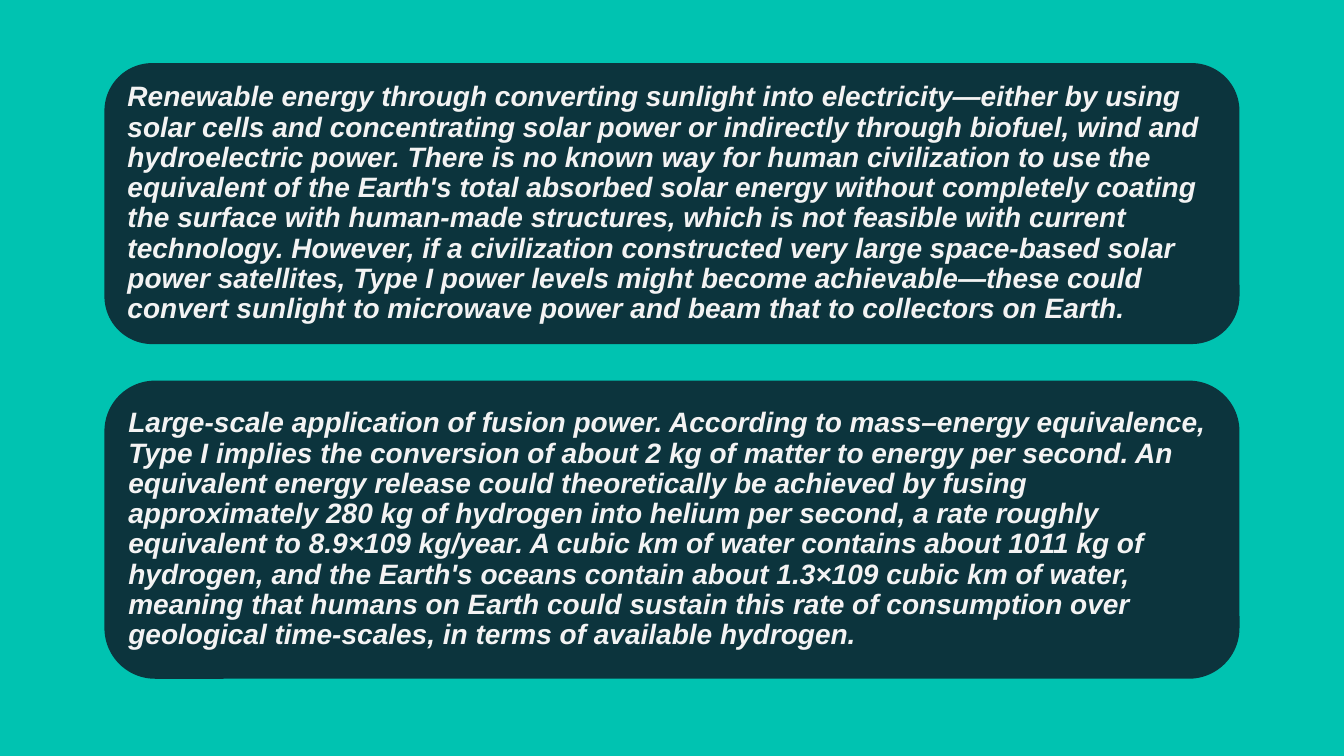
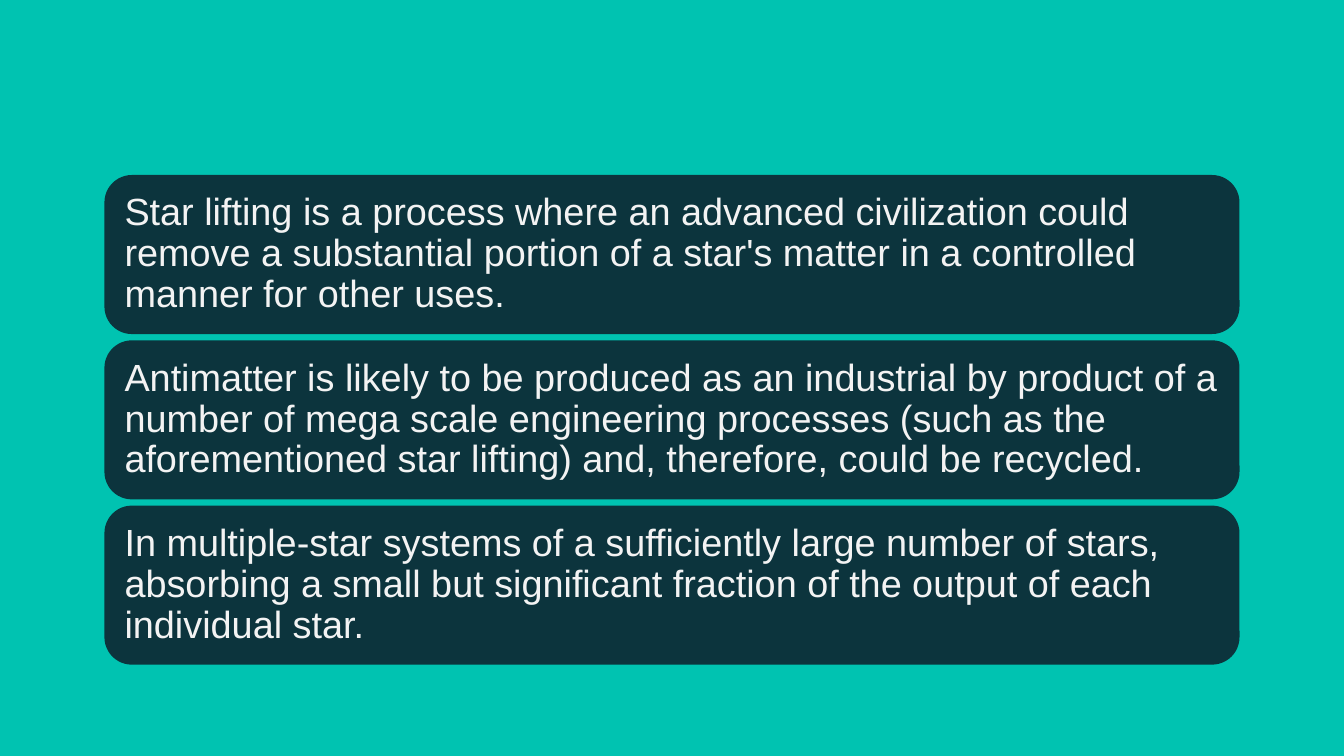
from pptx import Presentation
from pptx.dml.color import RGBColor
from pptx.enum.shapes import MSO_SHAPE
from pptx.enum.text import MSO_ANCHOR, PP_ALIGN
from pptx.util import Inches, Pt

# Shared style
TEAL = RGBColor(0x00, 0xC3, 0xB1)
NAVY = RGBColor(0x0C, 0x34, 0x3D)
OFF_WHITE = RGBColor(0xF3, 0xF3, 0xF3)
FONT = "Arial"
CARD_LEFT, CARD_WIDTH = 1.05, 11.23

# Content: each slide is a stack of cards, given as (height, text)
SLIDES = [
    {
        "top": 0.64, "gap": 0.39,
        "format": {"size": 20, "margin": 0.08, "bold": True, "italic": True},
        "cards": [
            (2.76, "Renewable energy through converting sunlight into electricity—either by using "
                   "solar cells and concentrating solar power or indirectly through biofuel, wind and "
                   "hydroelectric power. There is no known way for human civilization to use the "
                   "equivalent of the Earth's total absorbed solar energy without completely coating "
                   "the surface with human-made structures, which is not feasible with current "
                   "technology. However, if a civilization constructed very large space-based solar "
                   "power satellites, Type I power levels might become achievable—these could "
                   "convert sunlight to microwave power and beam that to collectors on Earth."),
            (2.93, "Large-scale application of fusion power. According to mass–energy equivalence, "
                   "Type I implies the conversion of about 2 kg of matter to energy per second. An "
                   "equivalent energy release could theoretically be achieved by fusing "
                   "approximately 280 kg of hydrogen into helium per second, a rate roughly "
                   "equivalent to 8.9×109 kg/year. A cubic km of water contains about 1011 kg of "
                   "hydrogen, and the Earth's oceans contain about 1.3×109 cubic km of water, "
                   "meaning that humans on Earth could sustain this rate of consumption over "
                   "geological time-scales, in terms of available hydrogen."),
        ],
    },
    {
        "top": 1.75, "gap": 0.09,
        "format": {"size": 27, "margin": 0.11},
        "cards": [
            (1.55, "Star lifting is a process where an advanced civilization could remove a "
                   "substantial portion of a star's matter in a controlled manner for other uses."),
            (1.55, "Antimatter is likely to be produced as an industrial by product of a number of "
                   "mega scale engineering processes (such as the aforementioned star lifting) and, "
                   "therefore, could be recycled."),
            (1.55, "In multiple-star systems of a sufficiently large number of stars, absorbing a "
                   "small but significant fraction of the output of each individual star."),
        ],
    },
]


def write_text(shape, text, size, margin, bold=False, italic=False):
    frame = shape.text_frame
    frame.word_wrap = True
    frame.vertical_anchor = MSO_ANCHOR.MIDDLE
    frame.margin_left = frame.margin_right = Inches(margin)
    frame.margin_top = frame.margin_bottom = Inches(margin)
    paragraph = frame.paragraphs[0]
    paragraph.alignment = PP_ALIGN.LEFT
    paragraph.line_spacing = 0.9
    run = paragraph.add_run()
    run.text = text
    run.font.name = FONT
    run.font.size = Pt(size)
    run.font.bold = bold
    run.font.italic = italic
    run.font.color.rgb = OFF_WHITE


def add_card(slide, top, height):
    shape = slide.shapes.add_shape(
        MSO_SHAPE.ROUNDED_RECTANGLE,
        Inches(CARD_LEFT), Inches(top), Inches(CARD_WIDTH), Inches(height))
    shape.shadow.inherit = False
    shape.fill.solid()
    shape.fill.fore_color.rgb = NAVY
    shape.line.color.rgb = NAVY
    shape.line.width = Pt(2)
    return shape


def add_card_slide(presentation, content):
    slide = presentation.slides.add_slide(presentation.slide_layouts[6])
    slide.background.fill.solid()
    slide.background.fill.fore_color.rgb = TEAL
    # Stack the cards downwards with an equal gap
    top = content["top"]
    for height, text in content["cards"]:
        write_text(add_card(slide, top, height), text, **content["format"])
        top += height + content["gap"]


def main():
    presentation = Presentation()
    presentation.slide_width = Inches(13.33)
    presentation.slide_height = Inches(7.5)
    for content in SLIDES:
        add_card_slide(presentation, content)
    presentation.save("out.pptx")


if __name__ == "__main__":
    main()
